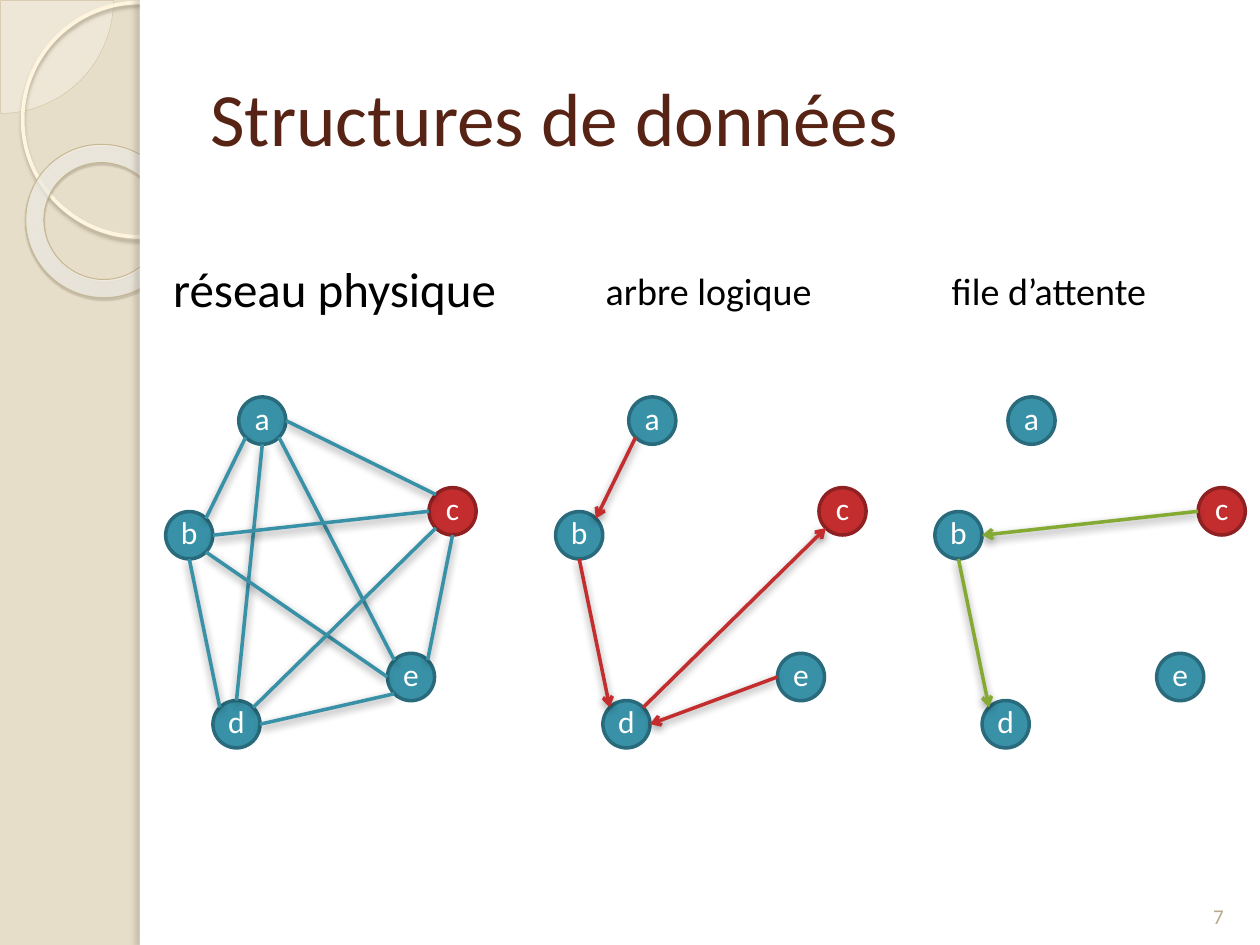
"""Build the slide that compares a physical network, a logical tree and a queue."""
from math import sqrt

from lxml.etree import SubElement
from pptx import Presentation
from pptx.dml.color import RGBColor
from pptx.enum.shapes import MSO_CONNECTOR, MSO_SHAPE
from pptx.enum.text import MSO_ANCHOR, MSO_AUTO_SIZE, PP_ALIGN
from pptx.oxml.ns import qn
from pptx.util import Inches, Pt

PIE, OVAL, DONUT, RECT = MSO_SHAPE.PIE, MSO_SHAPE.OVAL, MSO_SHAPE.DONUT, MSO_SHAPE.RECTANGLE
STRAIGHT = MSO_CONNECTOR.STRAIGHT
LEFT, CENTER = PP_ALIGN.LEFT, PP_ALIGN.CENTER
TOP, MIDDLE, BOTTOM = MSO_ANCHOR.TOP, MSO_ANCHOR.MIDDLE, MSO_ANCHOR.BOTTOM
NO_AUTOFIT = MSO_AUTO_SIZE.NONE

COLORS = {
    "sand": "E7DEC9", "cream": "FEFAF4", "tan": "D3C39F", "ring": "FFF5DE",
    "khaki": "C7B893", "white": "FFFFFF", "black": "000000", "brown": "572314",
    "number": "B6A98A", "teal": "3891A7", "dark teal": "296B7C",
    "red": "C32D2E", "dark red": "902122", "green": "84AA33",
    "ring shadow": "B0A68F", "donut shadow": "5A5444", "edge shadow": "736F63",
    "donut light": "FFFCF6", "donut middle": "FFFEFB", "donut gold": "F0D28E",
}


def write(frame, text, size, color, align, anchor):
    """Put one formatted run in a text frame and return its paragraph."""
    frame.word_wrap = True
    frame.auto_size = NO_AUTOFIT
    frame.vertical_anchor = anchor
    para = frame.paragraphs[0]
    para.alignment = align
    span = para.add_run()
    span.text = text
    span.font.name = "Calibri"
    span.font.size = Pt(size)
    span.font.color.rgb = RGBColor.from_string(COLORS[color])
    return para


def add_shadow(effects, color, alpha, blur, distance, angle):
    """Add an outer shadow to an effect list."""
    outer = SubElement(effects, qn("a:outerShdw"), blurRad=str(Pt(blur)), dist=str(Pt(distance)),
                       dir=str(angle * 60000), algn="ctr", rotWithShape="0")
    tint = SubElement(outer, qn("a:srgbClr"), val=COLORS[color])
    SubElement(tint, qn("a:alpha"), val=str(alpha * 1000))


deck = Presentation()
deck.slide_width, deck.slide_height = Inches(10), Inches(7.5)
column, row = deck.slide_width / 100, deck.slide_height / 75
page = deck.slides.add_slide(deck.slide_layouts[3])
page.background.fill.solid()
page.background.fill.fore_color.rgb = RGBColor.from_string(COLORS["sand"])
title, tree_label, queue_label = page.placeholders

decorations = [
    (PIE, (-8.9, -8.9, 17.9, 17.9), 0, [0, 54.02], "cream", ("tan", 0.25), None),
    (OVAL, (1.8, 0.2, 18.6, 18.6), 0, [], None, ("ring", 2.15), ("ring shadow", 85, 2, 2, 90)),
    (DONUT, (2, 11.5, 12.3, 12.1), 38.6, [0.12], None, ("khaki", 0.58),
     ("donut shadow", 35, 1, 1.2, 75)),
    (RECT, (11.1, 0, 88.9, 75), 0, [], "white", None, None),
    (RECT, (11.1, 0, 0.8, 75), 0, [], "white", None, ("edge shadow", 25, 3, 3, 180)),
]
for preset, (x, y, width, height), rotation, adjustments, fill, line, shadow in decorations:
    shape = page.shapes.add_shape(preset, int(x * column), int(y * row),
                                  int(width * column), int(height * row))
    shape.rotation = rotation
    shape.shadow.inherit = False
    for index, value in enumerate(adjustments):
        shape.adjustments[index] = value
    properties = shape._element.spPr
    if fill:
        shape.fill.solid()
        shape.fill.fore_color.rgb = RGBColor.from_string(COLORS[fill])
    else:
        shape.fill.background()
    if preset == PIE:
        tint = properties.find(qn("a:solidFill")).find(qn("a:srgbClr"))
        SubElement(tint, qn("a:alpha"), val="33000")
    if preset == DONUT:
        shape.fill.gradient()
        gradient = properties.find(qn("a:gradFill"))
        gradient.clear()
        stops = SubElement(gradient, qn("a:gsLst"))
        for place, color, alpha in ((0, "donut light", 70), (70, "donut middle", 55),
                                    (100, "donut gold", 60)):
            stop = SubElement(stops, qn("a:gs"), pos=str(place * 1000))
            tint = SubElement(stop, qn("a:srgbClr"), val=COLORS[color])
            SubElement(tint, qn("a:alpha"), val=str(alpha * 1000))
        circle = SubElement(gradient, qn("a:path"), path="circle")
        SubElement(circle, qn("a:fillToRect"), l="-408000", t="-50000", r="508000", b="150000")
    if line:
        shape.line.color.rgb = RGBColor.from_string(COLORS[line[0]])
        shape.line.width = Pt(line[1])
    else:
        shape.line.fill.background()
    if shadow:
        add_shadow(properties.find(qn("a:effectLst")), *shadow)

network_label = page.shapes.add_textbox(0, 0, 0, 0)
number = page.shapes.add_textbox(0, 0, 0, 0)
texts = [
    (title, (15.7, 3, 82, 12.5), "Structures de données", 43, "brown", LEFT, MIDDLE),
    (network_label, (9.9, 20, 32.8, 5.7), "réseau physique", 28, "black", CENTER, TOP),
    (tree_label, (39.6, 20, 32.8, 5.7), "arbre logique", 21.7, "black", CENTER, TOP),
    (queue_label, (64.8, 20, 36.4, 7.5), "file d’attente", 21.7, "black", CENTER, TOP),
    (number, (94.2, 69, 5, 5.2), "7", 12, "number", CENTER, BOTTOM),
]
for box, (x, y, width, height), text, size, color, align, anchor in texts:
    page.shapes._spTree.append(box._element)
    box.left, box.top = int(x * column), int(y * row)
    box.width, box.height = int(width * column), int(height * row)
    para = write(box.text_frame, text, size, color, align, anchor)
    if box in (network_label, tree_label, queue_label):
        para.space_before = Pt(6)
        para.line_spacing = 1 if box is network_label else 1.2
        settings = para._p.get_or_add_pPr()
        settings.set("marL", str(Inches(0.05)))
        settings.set("indent", "0")
        SubElement(settings, qn("a:buNone"))

node_width, node_height = 3.74, 3.76
nodes = {"a": (5.8, 31.5), "b": (0, 40.6), "c": (20.9, 38.7), "d": (3.75, 55.6), "e": (17.6, 51.85)}
diagonal = 1 / sqrt(2)
sites = {
    "N": (0, -1), "E": (1, 0), "S": (0, 1), "W": (-1, 0),
    "NE": (diagonal, -diagonal), "SE": (diagonal, diagonal),
    "SW": (-diagonal, diagonal), "NW": (-diagonal, -diagonal),
}
graphs = [
    (44.1, "red", True, "b.NE-a.SW d.NW-b.S d.E-e.W c.SW-d.NE"),
    (74.2, "green", True, "d.NW-b.S b.E-c.W"),
    (13.15, "teal", False, "b.NE-a.SW a.E-c.NW c.S-e.NE e.SW-d.E d.NW-b.S "
                           "a.S-d.N a.SE-e.NW b.E-c.W b.SE-e.W c.SW-d.NE"),
]
for origin, edge_color, directed, edges in graphs:
    for name, (x, y) in nodes.items():
        node = page.shapes.add_shape(OVAL, int((origin + x) * column), int(y * row),
                                     int(node_width * column), int(node_height * row))
        color = "red" if name == "c" else "teal"
        node.shadow.inherit = False
        node.fill.solid()
        node.fill.fore_color.rgb = RGBColor.from_string(COLORS[color])
        node.line.color.rgb = RGBColor.from_string(COLORS["dark " + color])
        node.line.width = Pt(2)
        frame = node.text_frame
        frame.margin_left = frame.margin_top = frame.margin_right = 0
        frame.margin_bottom = Inches(0.05)
        write(frame, name, 18, "white", CENTER, MIDDLE)

    for edge in edges.split():
        ends = []
        for end in edge.split("-"):
            name, site = end.split(".")
            (x, y), (across, down) = nodes[name], sites[site]
            ends += [int((origin + x + node_width * (1 + across) / 2) * column),
                     int((y + node_height * (1 + down) / 2) * row)]
        link = page.shapes.add_connector(STRAIGHT, *ends)
        link.line.color.rgb = RGBColor.from_string(COLORS[edge_color])
        link.line.width = Pt(2)
        properties = link._element.spPr
        if directed:
            SubElement(properties.find(qn("a:ln")), qn("a:headEnd"), type="arrow")
        add_shadow(SubElement(properties, qn("a:effectLst")), "black", 43, 5, 2, 90)

deck.save("out.pptx")
